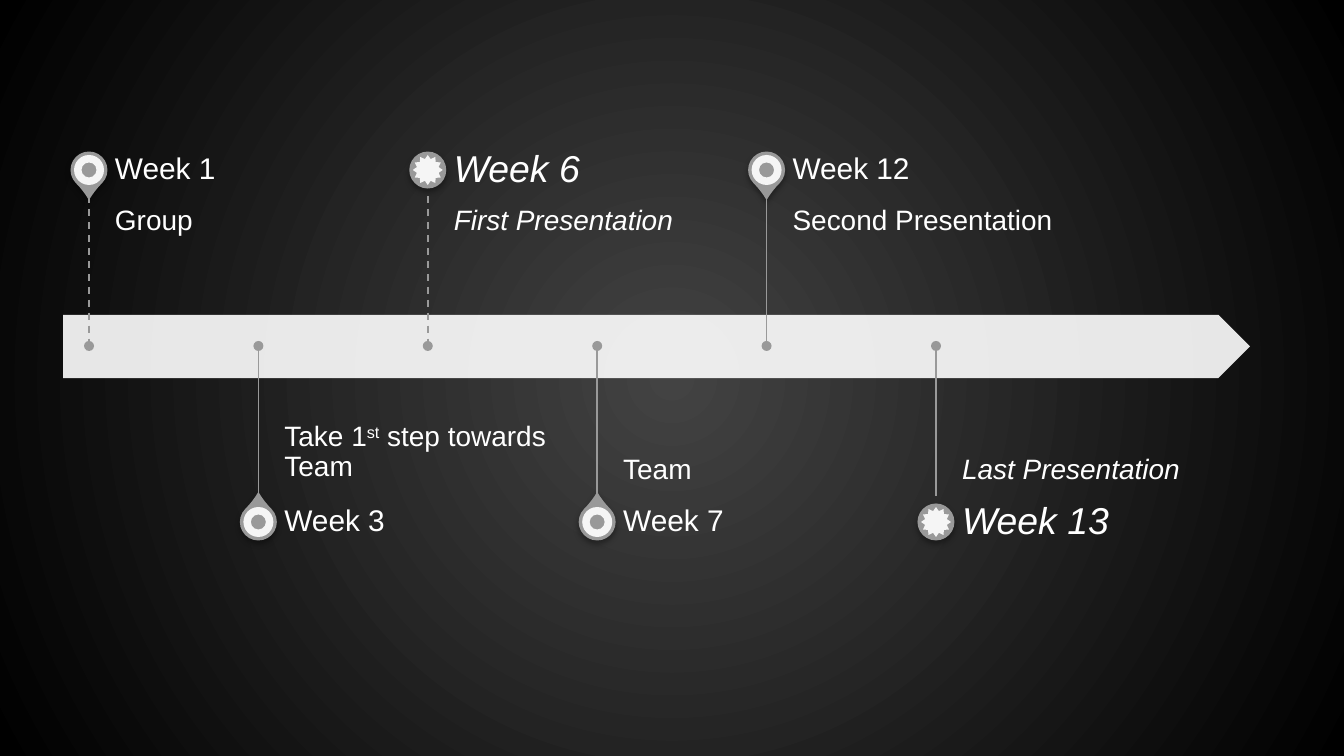
"""Build a course timeline slide with week markers above and below an arrow."""
from lxml import etree
from pptx import Presentation
from pptx.dml.color import RGBColor
from pptx.enum.dml import MSO_LINE
from pptx.enum.shapes import MSO_CONNECTOR, MSO_SHAPE
from pptx.enum.text import MSO_ANCHOR
from pptx.oxml.ns import qn
from pptx.util import Emu, Pt

PENTAGON, TEARDROP, DONUT = MSO_SHAPE.PENTAGON, MSO_SHAPE.TEAR, MSO_SHAPE.DONUT
OVAL, STAR, STRAIGHT = MSO_SHAPE.OVAL, MSO_SHAPE.STAR_12_POINT, MSO_CONNECTOR.STRAIGHT
TOP, MIDDLE, BOTTOM = MSO_ANCHOR.TOP, MSO_ANCHOR.MIDDLE, MSO_ANCHOR.BOTTOM
DASH = MSO_LINE.DASH

WHITE, GREY = "FFFFFF", "999999"
BACKDROP = ("434343", "000000")
MILESTONES = [
    {"week": "Week 1", "detail": ["Group"], "dashed": True},
    {"week": "Week 3", "detail": ["Take 1", "st", " step towards Team"]},
    {"week": "Week 6", "detail": ["First Presentation"], "dashed": True, "key": True},
    {"week": "Week 7", "detail": ["Team"]},
    {"week": "Week 12", "detail": ["Second Presentation"]},
    {"week": "Week 13", "detail": ["Last Presentation"], "key": True},
]
FIRST_X, STEP_X, AXIS_Y = 89, 169.4, 346
STEM, PIN_REACH = 150, 176
PIN, BADGE, DOT = 37, 30, 10
LABEL_GAP, LABEL_W, WEEK_H = 26, 282, 52

prs = Presentation()


def px(value):
    return Emu(round(value * 914400 / 134.4))


def rgb(code):
    return RGBColor.from_string(code)


def add_part(kind, x, y, w, h, color, alpha=100):
    part = slide.shapes.add_shape(kind, px(x), px(y), px(w), px(h))
    part.shadow.inherit = False
    part.fill.solid()
    part.fill.fore_color.rgb = rgb(color)
    part.line.fill.background()
    if alpha < 100:
        tint = part.element.spPr.find(qn("a:solidFill"))[0]
        etree.SubElement(tint, qn("a:alpha"), val=str(alpha * 1000))
    return part


def add_centred(kind, x, y, size, color, alpha=100):
    return add_part(kind, x - size / 2, y - size / 2, size, size, color, alpha)


def add_pin_shadow(pin):
    effects = pin.element.spPr.find(qn("a:effectLst"))
    shadow = etree.SubElement(effects, qn("a:outerShdw"), blurRad=str(Pt(3.1)),
                              dist=str(Pt(1.8)), dir="5400000", rotWithShape="0")
    tint = etree.SubElement(shadow, qn("a:srgbClr"), val="000000")
    etree.SubElement(tint, qn("a:alpha"), val="35000")


def add_label(x, y, h, runs, size, italic, anchor, insets):
    frame = slide.shapes.add_textbox(px(x), px(y), px(LABEL_W), px(h)).text_frame
    frame.word_wrap = True
    frame.vertical_anchor = anchor
    for side, inset in zip(("left", "top", "right", "bottom"), insets):
        setattr(frame, "margin_" + side, px(inset))
    line = frame.paragraphs[0]
    line.line_spacing = 0.9
    for index, text in enumerate(runs):
        run = line.add_run()
        run.text = text
        for name, value in {"name": "Arial", "size": Pt(size), "italic": italic}.items():
            setattr(run.font, name, value)
        run.font.color.rgb = rgb(WHITE)
        if index == 1:
            run.font._element.set("baseline", "30000")


def add_stem(x, start, dashed):
    stem = slide.shapes.add_connector(STRAIGHT, px(x), px(start), px(x), px(start + STEM))
    stem.line.color.rgb = rgb(GREY)
    stem.line.width = Pt(1 if dashed else 0.75)
    if dashed:
        stem.line.dash_style = DASH
    etree.SubElement(stem.element.spPr, qn("a:effectLst"))


def add_milestone(index, week, detail, dashed=False, key=False):
    x = FIRST_X + index * STEP_X
    above = index % 2 == 0
    pin_y = AXIS_Y - PIN_REACH if above else AXIS_Y + PIN_REACH
    stem_y = AXIS_Y - STEM if above else AXIS_Y
    week_y = stem_y - WEEK_H if above else stem_y + STEM
    pin = add_centred(OVAL if key else TEARDROP, x, pin_y, PIN, GREY)
    pin.rotation = 135 if above else 315
    if not key:
        pin.adjustments[0] = 1.15
    add_pin_shadow(pin)
    add_centred(STAR if key else DONUT, x, pin_y, BADGE, WHITE, 90)
    add_label(x + LABEL_GAP, stem_y, STEM, detail, 15, key, TOP if above else BOTTOM,
              (0, 13, 13, 22) if above else (0, 22, 0, 13))
    add_label(x + LABEL_GAP, week_y, WEEK_H, [week], 20 if key else 16, key, MIDDLE,
              (0, 0, 15, 0))
    add_stem(x, stem_y, dashed)
    add_centred(OVAL, x, AXIS_Y, DOT, GREY)


prs.slide_width, prs.slide_height = px(1344), px(756)
slide = prs.slides.add_slide(prs.slide_layouts[6])
backdrop = slide.background.fill
backdrop.gradient()
for stop, color in zip(backdrop.gradient_stops, BACKDROP):
    stop.color.rgb = rgb(color)
linear = next(slide.element.iter(qn("a:lin")))
radial = etree.Element(qn("a:path"), {"path": "circle"})
etree.SubElement(radial, qn("a:fillToRect"), {side: "50000" for side in "ltrb"})
linear.getparent().replace(linear, radial)

add_part(PENTAGON, 63, 315, 1187, 63, WHITE, 90)
for position, milestone in enumerate(MILESTONES):
    add_milestone(position, **milestone)

prs.save("out.pptx")
